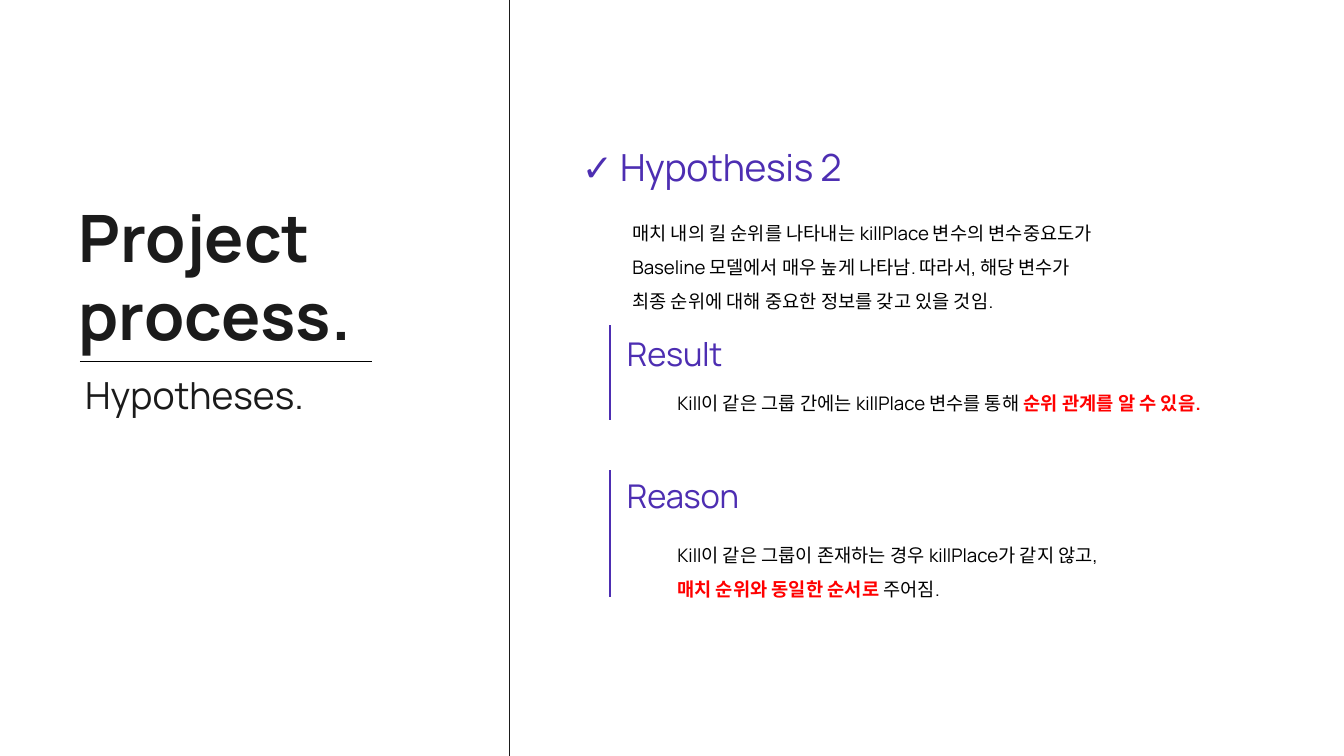
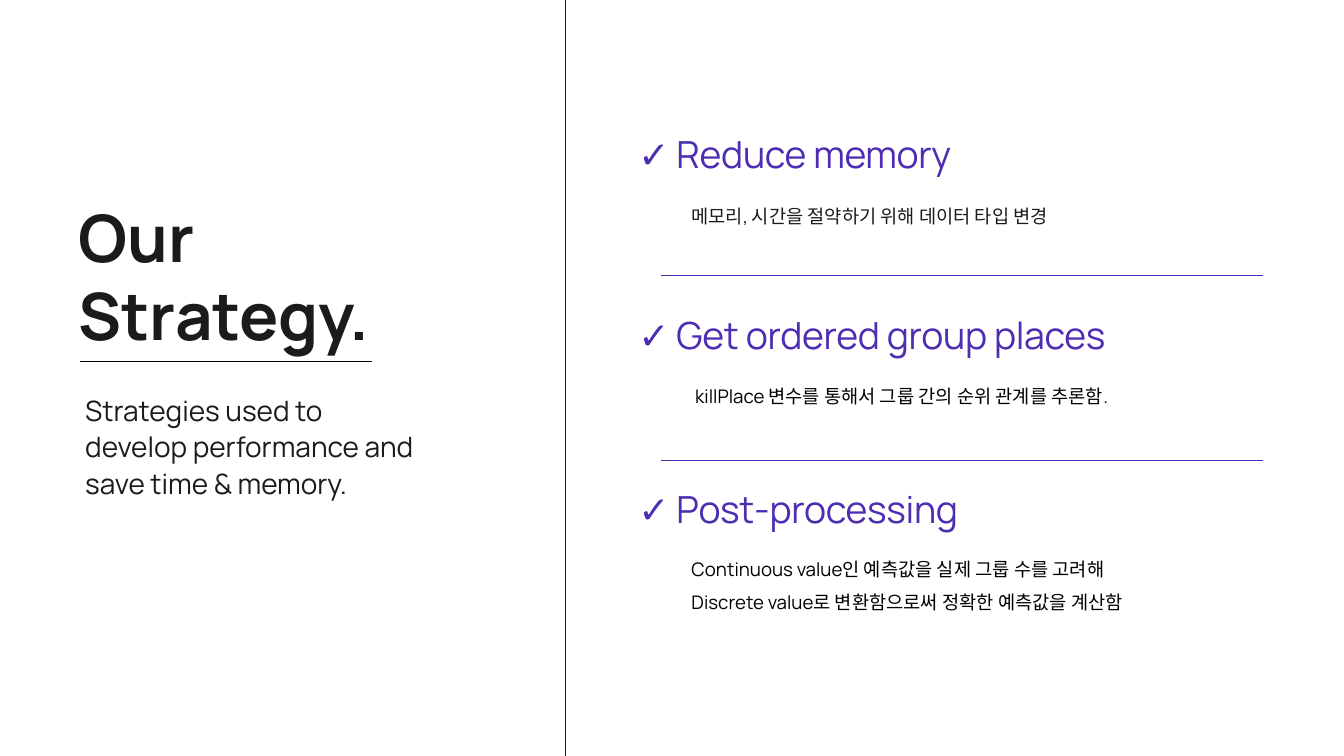
from lxml import etree
from pptx import Presentation
from pptx.dml.color import RGBColor
from pptx.enum.shapes import MSO_CONNECTOR
from pptx.enum.text import MSO_AUTO_SIZE
from pptx.oxml.ns import qn
from pptx.util import Inches, Pt

STRAIGHT = MSO_CONNECTOR.STRAIGHT
GROW = MSO_AUTO_SIZE.SHAPE_TO_FIT_TEXT

FONT = "Manrope"
INK = RGBColor(0x1B, 0x1B, 0x1B)
BLACK = RGBColor(0, 0, 0)
VIOLET = RGBColor(0x4D, 0x2E, 0xB2)
RED = RGBColor(0xFF, 0, 0)

SLIDE_WIDTH, SLIDE_HEIGHT = 20, 11.25
HEADING_LEADING = Pt(36.4)
BODY_LEADING = 1.5


def add_text(page, place, lines, size, color, leading=None, bold=False,
             tracking=None, inset=True):
    """Add a text box; words between asterisks are set in bold red."""
    box = page.shapes.add_textbox(*[Inches(length) for length in place])
    frame = box.text_frame
    frame.word_wrap = True
    frame.auto_size = GROW
    if not inset:
        frame.margin_left = frame.margin_top = 0
        frame.margin_right = frame.margin_bottom = 0
    for number, line in enumerate(lines):
        para = frame.add_paragraph() if number else frame.paragraphs[0]
        if leading is not None:
            para.line_spacing = leading
        for index, words in enumerate(line.split("*")):
            if not words:
                continue
            emphasised = index % 2 == 1
            span = para.add_run()
            span.text = words
            span.font.name = FONT
            span.font.size = Pt(size)
            span.font.bold = bold or emphasised
            span.font.color.rgb = RED if emphasised else color
            if tracking is not None:
                span.font._element.set("spc", str(round(tracking * 100)))


def add_rule(page, start, end, color, weight=0.75):
    rule = page.shapes.add_connector(
        STRAIGHT, *[Inches(length) for length in (*start, *end)])
    rule.line.color.rgb = color
    rule.line.width = Pt(weight)
    etree.SubElement(rule._element.spPr, qn("a:effectLst"))


deck = Presentation()
deck.slide_width = Inches(SLIDE_WIDTH)
deck.slide_height = Inches(SLIDE_HEIGHT)

# Left column of both slides: title, underline, subtitle, divider
columns = [
    (["Project", "process."], ["Hypotheses."], (3.71, 0.56), 40, 28.4, 7.58),
    (["Our", "Strategy."],
     ["Strategies used to", "develop performance and save time & memory."],
     (5.84, 1.74), 30, 39.2, 8.42),
]
pages = []
for title, subtitle, extent, size, leading, divider_x in columns:
    page = deck.slides.add_slide(deck.slide_layouts[6])
    add_text(page, (1.17, 2.93, 4.71, 2.36), title, 70, INK, bold=True, inset=False)
    add_rule(page, (1.19, 5.38), (5.54, 5.38), BLACK)
    add_text(page, (1.17, 5.76, *extent), subtitle, size, INK, Pt(leading))
    add_rule(page, (divider_x, 0), (divider_x, SLIDE_HEIGHT), INK)
    pages.append(page)
hypothesis_page, strategy_page = pages

# Ticked headings, each with its body text
ticked_items = [
    (hypothesis_page, 8.66, 2.3, "Hypothesis 2", 9.41, 8, 3.14, 1.98, BLACK,
     ["매치 내의 킬 순위를 나타내는 killPlace 변수의 변수중요도가",
      "Baseline 모델에서 매우 높게 나타남. 따라서, 해당 변수가",
      "최종 순위에 대해 중요한 정보를 갖고 있을 것임."]),
    (strategy_page, 9.5, 2.12, "Reduce memory", 10.29, 8.92, 2.88, 0.46, INK,
     ["메모리, 시간을 절약하기 위해 데이터 타입 변경"]),
    (strategy_page, 9.5, 4.81, "Get ordered group places", 10.29, 8.92, 5.56, 0.46, BLACK,
     [" killPlace 변수를 통해서 그룹 간의 순위 관계를 추론함."]),
    (strategy_page, 9.5, 7.39, "Post-processing", 10.29, 8.92, 8.13, 0.97, BLACK,
     ["Continuous value인 예측값을 실제 그룹 수를 고려해",
      "Discrete value로 변환함으로써 정확한 예측값을 계산함"]),
]
for page, left, top, heading, body_left, body_width, body_top, body_height, color, body in ticked_items:
    add_text(page, (left, top, 9.5, 0.55), ["✓ " + heading], 40, VIOLET,
             HEADING_LEADING, tracking=-0.3, inset=False)
    add_text(page, (body_left, body_top, body_width, body_height), body, 20, color,
             BODY_LEADING, inset=False)

# Result and reason, each beside a violet bar
findings = [
    ("Result", 5.04, 5.66, 0.46, 4.84, 6.25,
     ["Kill이 같은 그룹 간에는 killPlace 변수를 통해 *순위 관계를 알 수 있음.*"]),
    ("Reason", 7.16, 7.93, 0.97, 7, 8.88,
     ["Kill이 같은 그룹이 존재하는 경우 killPlace가 같지 않고,",
      "*매치 순위와 동일한 순서로 *주어짐."]),
]
for heading, top, body_top, body_height, bar_top, bar_bottom, body in findings:
    add_text(hypothesis_page, (9.33, top, 8.92, 0.53), [heading], 35, VIOLET,
             HEADING_LEADING, tracking=-0.3, inset=False)
    add_text(hypothesis_page, (10.08, body_top, 8.58, body_height), body, 20, BLACK,
             BODY_LEADING, inset=False)
    add_rule(hypothesis_page, (9.08, bar_top), (9.08, bar_bottom), VIOLET, 2)

# Rules between the strategies
for rule_y in (4.1, 6.85):
    add_rule(strategy_page, (9.84, rule_y), (18.79, rule_y), VIOLET)

deck.save("out.pptx")
